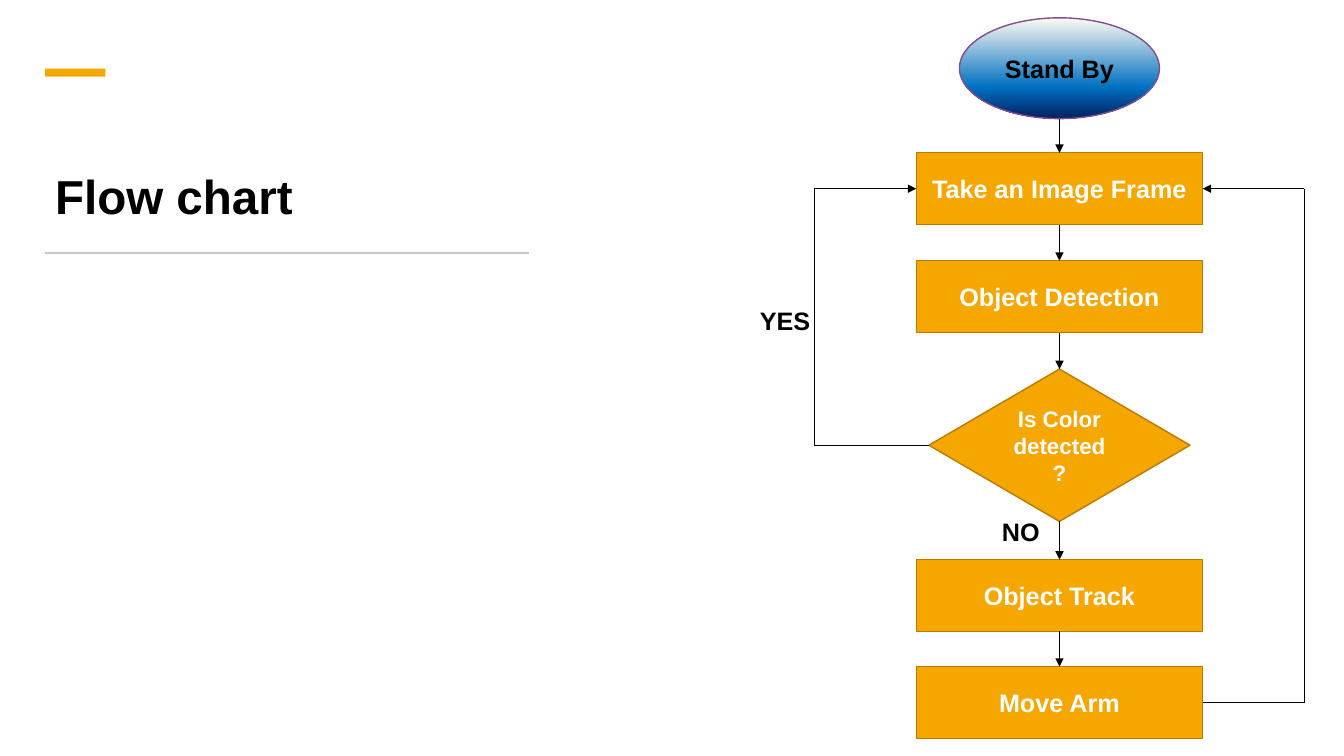
from copy import deepcopy
from dataclasses import dataclass

from lxml.etree import SubElement
from pptx import Presentation
from pptx.dml.color import RGBColor
from pptx.enum.shapes import MSO_CONNECTOR, MSO_SHAPE
from pptx.enum.text import MSO_ANCHOR, PP_ALIGN
from pptx.oxml.ns import qn
from pptx.util import Cm, Pt


@dataclass(frozen=True)
class Theme:
    font: str = "Arial"
    black: str = "000000"
    white: str = "FFFFFF"
    gold: str = "F5A700"
    edge: str = "B57C00"
    grey: str = "C9C9C9"
    plum: str = "824F8C"
    fade: tuple = ((0, "FFFBF2"), (0.69, "0070C0"), (1, "002060"))
    title: int = 34
    body: int = 18
    small: int = 16


THEME = Theme()
MID = 26.7  # centre line of the flow
BOX_W, BOX_H = 7.22, 1.81


def rgb(code):
    return RGBColor.from_string(code)


def write(shape, text, size, color, align=PP_ALIGN.LEFT, anchor=MSO_ANCHOR.TOP):
    frame = shape.text_frame
    frame.text = text
    frame.word_wrap = True
    frame.vertical_anchor = anchor
    par = frame.paragraphs[0]
    par.alignment = align
    font = par.runs[0].font
    font.name, font.size, font.bold = THEME.font, Pt(size), True
    font.color.rgb = rgb(color)


def add_text(slide, text, left, top, width, height, size, **place):
    box = slide.shapes.add_textbox(Cm(left), Cm(top), Cm(width), Cm(height))
    write(box, text, size, THEME.black, **place)


def add_bar(slide, left, top, width, height, color):
    bar = slide.shapes.add_shape(
        MSO_SHAPE.RECTANGLE, Cm(left), Cm(top), Cm(width), Cm(height))
    bar.shadow.inherit = False
    bar.fill.solid()
    bar.fill.fore_color.rgb = rgb(color)
    bar.line.fill.background()


def fade(shape):
    """Fill a shape from top to bottom with the theme's colour stops."""
    shape.fill.gradient()
    shape.fill.gradient_angle = 270
    stops = shape._element.spPr.find(qn("a:gradFill")).find(qn("a:gsLst"))
    stops.append(deepcopy(stops[-1]))
    for stop, (pos, color) in zip(shape.fill.gradient_stops, THEME.fade):
        stop.position = pos
        stop.color.rgb = rgb(color)


def add_step(slide, kind, text, top, width=BOX_W, height=BOX_H,
             size=THEME.body, color=THEME.white, edge=THEME.edge):
    """Add one step, centred on the flow line."""
    step = slide.shapes.add_shape(
        kind, Cm(MID - width / 2), Cm(top), Cm(width), Cm(height))
    step.shadow.inherit = False
    step.fill.solid()
    step.fill.fore_color.rgb = rgb(THEME.gold)
    step.line.color.rgb = rgb(edge)
    step.line.width = Pt(1)
    write(step, text, size, color, PP_ALIGN.CENTER, MSO_ANCHOR.MIDDLE)
    return step


def add_path(slide, *points):
    """Join points with straight lines; the last one ends in an arrow."""
    for start, end in zip(points, points[1:]):
        link = slide.shapes.add_connector(
            MSO_CONNECTOR.STRAIGHT, *start, *end)
        link.line.width = Pt(0.5)
        link.line.color.rgb = rgb(THEME.black)
        props = link._element.spPr
        if end == points[-1]:
            SubElement(props.find(qn("a:ln")), qn("a:tailEnd"), type="triangle")
        SubElement(props, qn("a:effectLst"))


def add_loop(slide, start, end, side):
    """Lead from one step back up to another along a vertical at side."""
    def port(step):
        x = step.left if side < step.left else step.left + step.width
        return x, step.top + step.height // 2

    first, last = port(start), port(end)
    add_path(slide, first, (side, first[1]), (side, last[1]), last)


def main():
    deck = Presentation()
    deck.slide_width, deck.slide_height = Cm(33.87), Cm(19.05)
    slide = deck.slides.add_slide(deck.slide_layouts[6])

    add_bar(slide, 1.14, 1.73, 1.52, 0.2, THEME.gold)
    add_text(slide, "Flow chart", 1.14, 2.74, 12.47, 3.02, THEME.title,
             anchor=MSO_ANCHOR.BOTTOM)
    add_bar(slide, 1.14, 6.35, 12.19, 0.05, THEME.grey)

    box = MSO_SHAPE.RECTANGLE
    ready = add_step(slide, MSO_SHAPE.OVAL, "Stand By", 0.45, 5.04, 2.54,
                     color=THEME.black, edge=THEME.plum)
    fade(ready)
    frame = add_step(slide, box, "Take an Image Frame", 3.85)
    detect = add_step(slide, box, "Object Detection", 6.57)
    check = add_step(slide, MSO_SHAPE.DIAMOND, "Is Color detected ?",
                     9.3, 6.58, 3.84, size=THEME.small)
    track = add_step(slide, box, "Object Track", 14.1)
    move = add_step(slide, box, "Move Arm", 16.8)

    steps = [ready, frame, detect, check, track, move]
    for above, below in zip(steps, steps[1:]):
        add_path(slide, (Cm(MID), above.top + above.height),
                 (Cm(MID), below.top))
    add_loop(slide, check, frame, Cm(20.52))
    add_loop(slide, move, frame, Cm(32.86))

    add_text(slide, "YES", 18.9, 7.57, 2.24, 1.02, THEME.body)
    add_text(slide, "NO", 25, 12.88, 2.24, 1.02, THEME.body)

    deck.save("out.pptx")


if __name__ == "__main__":
    main()
